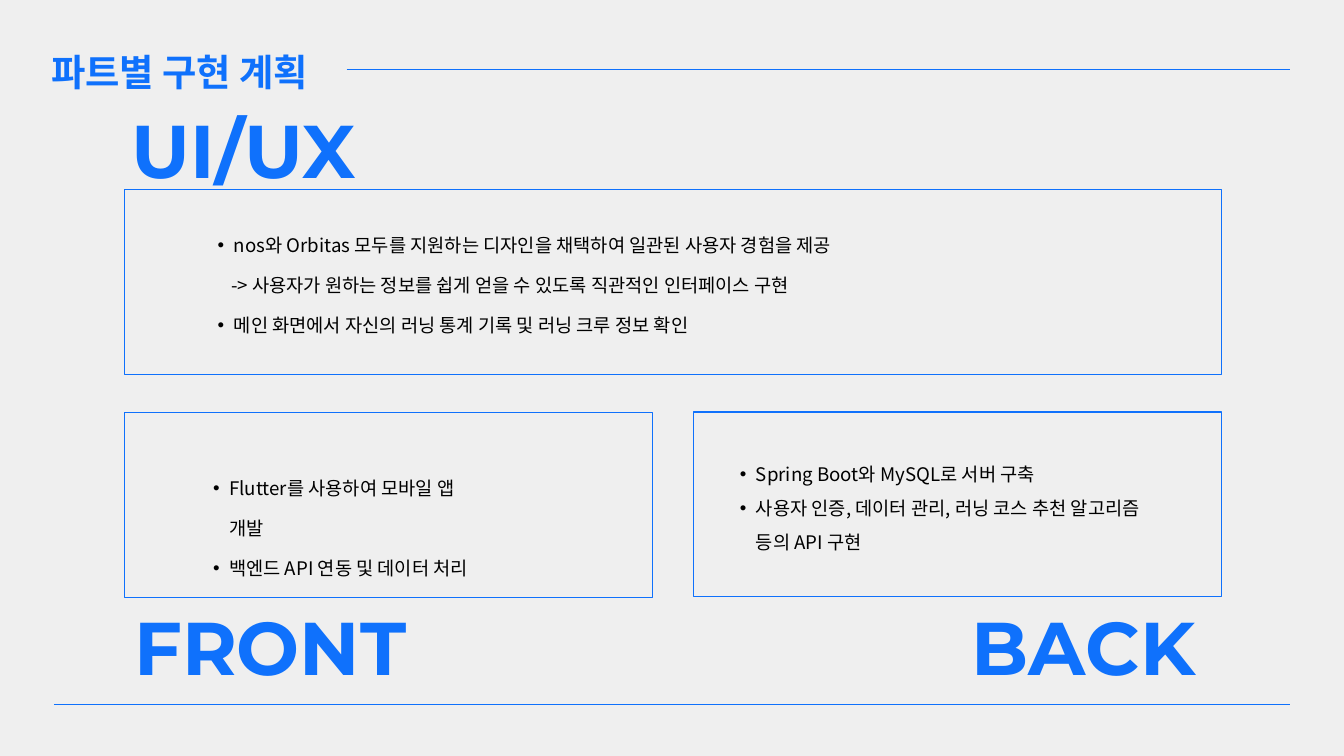
from lxml.etree import SubElement
from pptx import Presentation
from pptx.dml.color import RGBColor
from pptx.enum.shapes import MSO_CONNECTOR as Connector, MSO_SHAPE as Shape
from pptx.enum.text import PP_ALIGN as Align
from pptx.oxml.ns import qn
from pptx.util import Inches, Pt

COLORS = {"background": "EFEFEF", "accent": "0F71FC", "body": "000000"}
KOREAN = "Noto Sans CJK SC"
LATIN = "Montserrat"
BULLET_INDENT = 0.24
BULLET_MARGIN = 0.47
ARROW_MARGIN = 0.43


def rgb(name):
    return RGBColor.from_string(COLORS[name])


def add_text(slide, box, lines, size=20, font=KOREAN, color="body",
             bold=False, align=Align.LEFT, spacing=(43,), bullets=False):
    frame = slide.shapes.add_textbox(*map(Inches, box)).text_frame
    frame.word_wrap = True
    frame.margin_left = frame.margin_right = 0
    frame.margin_top = frame.margin_bottom = 0
    for index, line in enumerate(lines):
        paragraph = frame.paragraphs[0] if index == 0 else frame.add_paragraph()
        paragraph.alignment = align
        paragraph.line_spacing = Pt(spacing[min(index, len(spacing) - 1)])
        if bullets:
            properties = paragraph._p.get_or_add_pPr()
            if line.startswith("->"):
                properties.set("marL", str(Inches(ARROW_MARGIN)))
                properties.set("indent", "0")
            else:
                properties.set("marL", str(Inches(BULLET_MARGIN)))
                properties.set("indent", str(-Inches(BULLET_INDENT)))
                SubElement(properties, qn("a:buFont"), typeface="Arial")
                SubElement(properties, qn("a:buChar"), char="•")
        run = paragraph.add_run()
        run.text = line
        run.font.size = Pt(size)
        run.font.bold = bold
        run.font.color.rgb = rgb(color)
        run.font.name = font
        SubElement(run._r.get_or_add_rPr(), qn("a:ea"), typeface=font)


def add_rule(slide, left, right, top):
    rule = slide.shapes.add_connector(
        Connector.STRAIGHT, Inches(left), Inches(top), Inches(right), Inches(top))
    rule.line.color.rgb = rgb("accent")
    rule.line.width = Pt(1.5)
    SubElement(rule._element.spPr, qn("a:effectLst"))


def add_header(slide, box):
    left, top, width, height = box
    add_text(slide, (left, top, 4.2, height), ["파트별 구현 계획"], size=40,
             color="accent", bold=True, spacing=(56,))
    add_rule(slide, left + 4.4, left + width, top + 0.41)


def add_part(slide, box, heading, heading_box, plans, plans_box, spacing):
    left, top, width, height = box
    frame = slide.shapes.add_shape(Shape.RECTANGLE, *map(Inches, box))
    frame.shadow.inherit = False
    frame.fill.background()
    frame.line.color.rgb = rgb("accent")
    frame.line.width = Pt(1.5)

    def place(inner):
        return left + inner[0], top + inner[1], inner[2], inner[3]

    add_text(slide, place(heading_box), [heading], size=80, font=LATIN,
             color="accent", bold=True, align=Align.CENTER, spacing=(112,))
    add_text(slide, place(plans_box), plans, spacing=spacing, bullets=True)


def main():
    presentation = Presentation()
    presentation.slide_width = Inches(20)
    presentation.slide_height = Inches(11.25)
    slide = presentation.slides.add_slide(presentation.slide_layouts[6])
    slide.background.fill.solid()
    slide.background.fill.fore_color.rgb = rgb("background")

    add_header(slide, (0.76, 0.62, 18.44, 0.74))
    add_part(slide, (1.85, 2.82, 16.33, 2.75),
             "UI/UX", (0, -1.5, 3.56, 1.5),
             ["nos와 Orbitas 모두를 지원하는 디자인을 채택하여 일관된 사용자 경험을 제공",
              "-> 사용자가 원하는 정보를 쉽게 얻을 수 있도록 직관적인 인터페이스 구현",
              "메인 화면에서 자신의 러닝 통계 기록 및 러닝 크루 정보 확인"],
             (1.16, 0.56, 11.68, 1.5), (31.4, 43))
    add_part(slide, (1.85, 6.14, 7.86, 2.75),
             "FRONT", (0, 2.58, 4.35, 1.5),
             ["Flutter를 사용하여 모바일 앱 개발",
              "백엔드 API 연동 및 데이터 처리"],
             (1.09, 0.7, 4.3, 1.11), (42.8,))
    add_part(slide, (10.32, 6.13, 7.86, 2.75),
             "BACK", (3.63, 2.59, 4.35, 1.5),
             ["Spring Boot와 MySQL로 서버 구축",
              "사용자 인증, 데이터 관리, 러닝 코스 추천 알고리즘 등의 API 구현"],
             (0.46, 0.48, 6.7, 1.6), (44.4, 36))
    add_rule(slide, 0.8, 19.2, 10.48)
    presentation.save("out.pptx")


if __name__ == "__main__":
    main()
